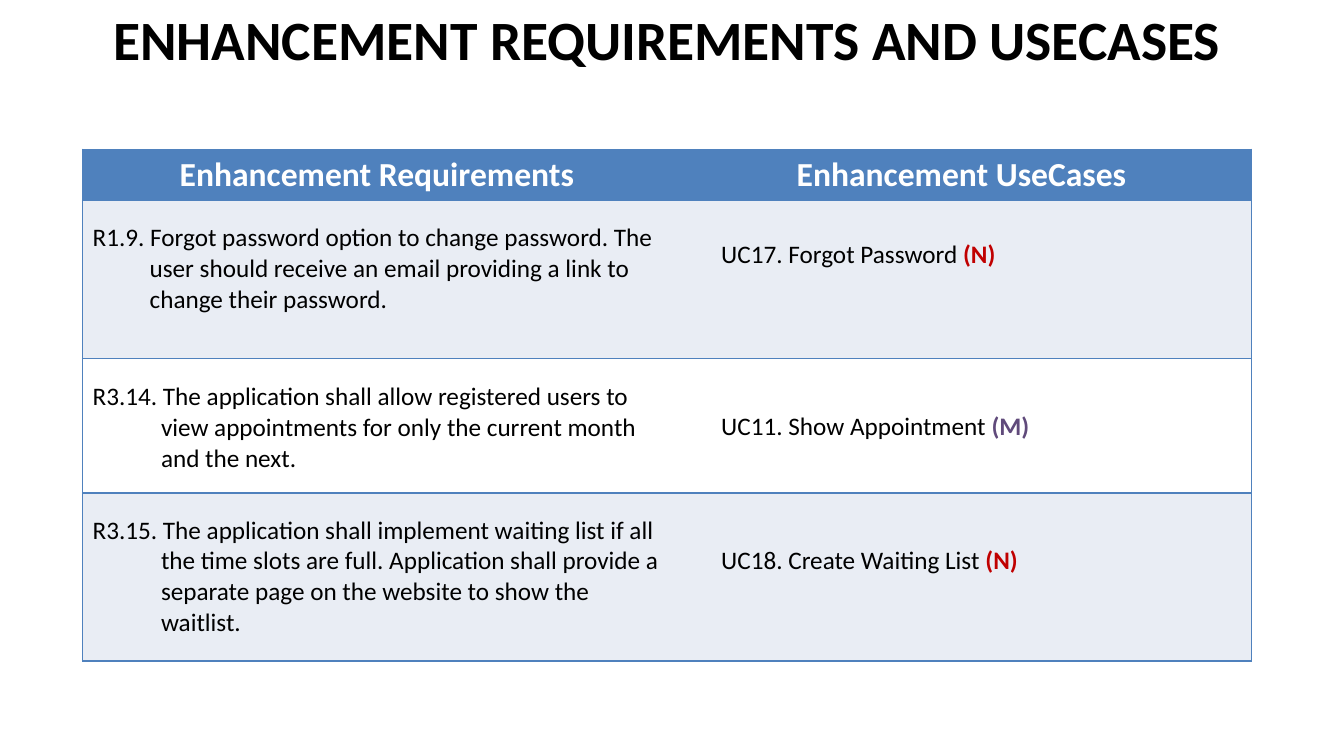
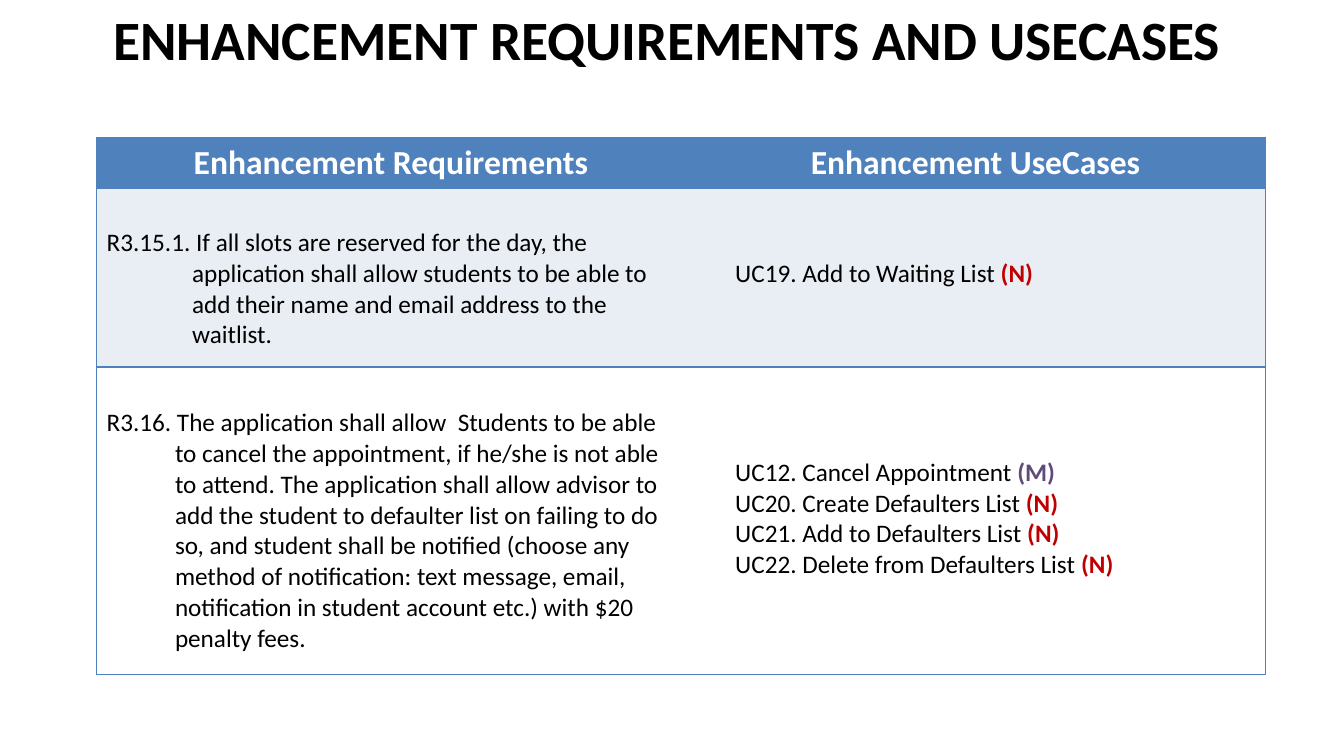
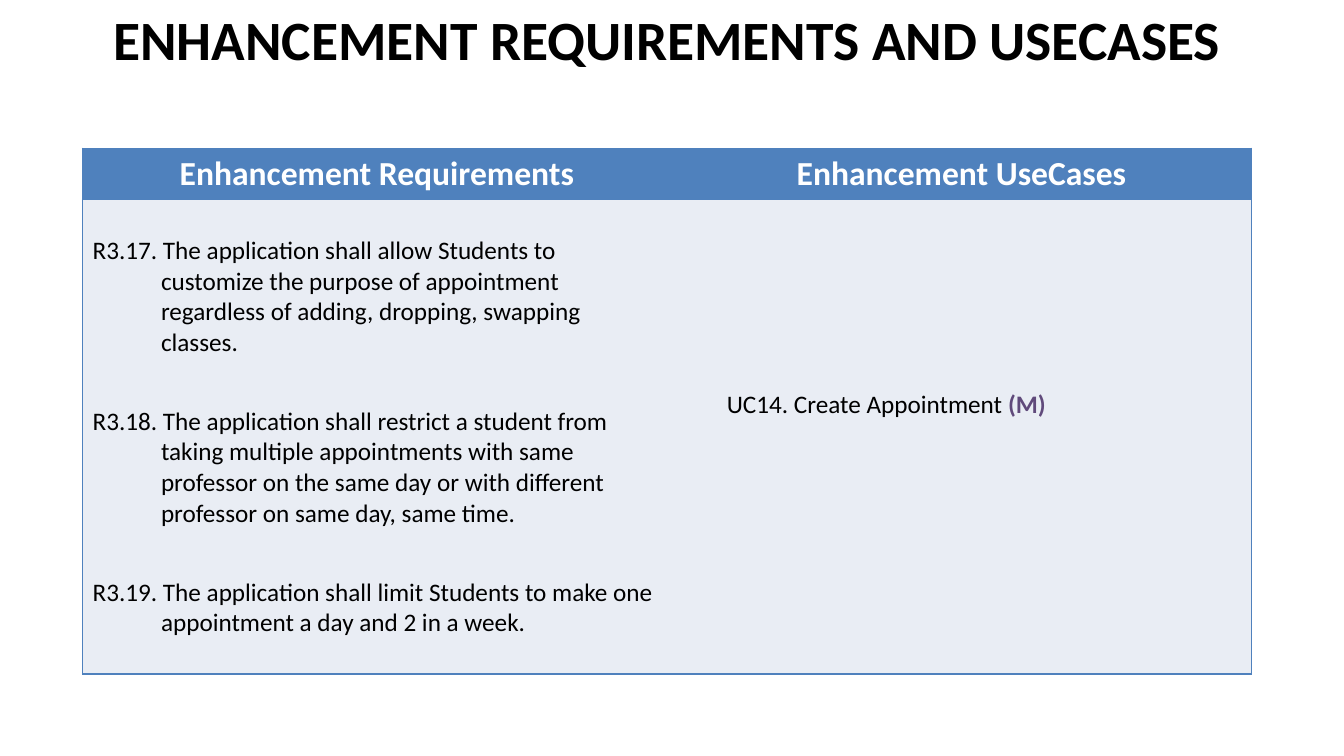
from dataclasses import dataclass

from lxml import etree
from pptx import Presentation
from pptx.dml.color import RGBColor
from pptx.enum.text import MSO_ANCHOR, PP_ALIGN
from pptx.oxml.ns import qn
from pptx.util import Pt

CENTER, LEFT = PP_ALIGN.CENTER, PP_ALIGN.LEFT
MIDDLE = MSO_ANCHOR.MIDDLE

BLUE, BAND, WHITE, BLACK = "4F81BD", "E9EDF4", "FFFFFF", "000000"
MARK_COLORS = {"N": "C00000", "M": "604A7B"}

TITLE = "ENHANCEMENT REQUIREMENTS AND USECASES"
HEADINGS = ("Enhancement Requirements", "Enhancement UseCases")
TITLE_FONT = {"name": "Calibri", "size": Pt(39.6), "bold": True}
HEADING_FONT = {"name": "Calibri", "size": Pt(24), "bold": True}
BODY_FONT = {"name": "Calibri", "size": Pt(18), "bold": False}
MARK_FONT = BODY_FONT | {"bold": True}

LEFT_EDGE = 59
COLUMN_WIDTHS = (420.5, 414.7)
TABLE_WIDTH = sum(COLUMN_WIDTHS)
HEADER_HEIGHT = 36.7
CELL_INSET = 7.2
REQUIREMENT_GAP = 34.2


@dataclass
class Entry:
    """A table row; the tops are the distances from row edge to first line."""
    height: float
    requirements: list
    requirement_top: float
    use_cases: list
    use_case_top: float
    hang: float = 48.8
    use_case_indent: float = 28.5


SLIDES = [
    (LEFT_EDGE, 106.5, [
        Entry(113,
              ["R1.9. Forgot password option to change password. The user should "
               "receive an email providing a link to change their password."], 15.8,
              [("UC17. Forgot Password", "N")], 28, hang=40.7),
        Entry(96,
              ["R3.14. The application shall allow registered users to view "
               "appointments for only the current month and the next."], 16.4,
              [("UC11. Show Appointment", "M")], 37.8),
        Entry(120,
              ["R3.15. The application shall implement waiting list if all the time "
               "slots are full. Application shall provide a separate page on the "
               "website to show the waitlist."], 15.8,
              [("UC18. Create Waiting List", "N")], 37.8),
    ]),
    (69, 98, [
        Entry(127.5,
              ["R3.15.1. If all slots are reserved for the day, the application shall "
               "allow students to be able to add their name and email address to the "
               "waitlist."], 28,
              [("UC19. Add to Waiting List", "N")], 50, hang=61),
        Entry(219.5,
              ["R3.16. The application shall allow  Students to be able to cancel the "
               "appointment, if he/she is not able to attend. The application shall "
               "allow advisor to add the student to defaulter list on failing to do "
               "so, and student shall be notified (choose any method of notification: "
               "text message, email, notification in student account etc.) with $20 "
               "penalty fees."], 29.2,
              [("UC12. Cancel Appointment", "M"),
               ("UC20. Create Defaulters List", "N"),
               ("UC21. Add to Defaulters List", "N"),
               ("UC22. Delete from Defaulters List", "N")], 64.6),
    ]),
    (LEFT_EDGE, 105.8, [
        Entry(339,
              ["R3.17. The application shall allow Students to customize the purpose "
               "of appointment regardless of adding, dropping, swapping\vclasses.",
               "R3.18. The application shall restrict a student from taking multiple "
               "appointments with same professor on the same day or with different "
               "professor on same day, same time.",
               "R3.19. The application shall limit Students to make one appointment "
               "a day and 2 in a week."], 25.6,
              [("UC14. Create Appointment", "M")], 135.5, use_case_indent=32.5),
    ]),
]


def rgb(value):
    return RGBColor.from_string(value)


def style(font, values, color):
    for name, value in values.items():
        setattr(font, name, value)
    font.color.rgb = rgb(color)


def write(paragraph, text, values, color, align=LEFT):
    paragraph.text = text
    paragraph.alignment = align
    for run in paragraph.runs:
        style(run.font, values, color)


def paragraphs(frame, count):
    """Return count paragraphs of a new text frame."""
    return [frame.paragraphs[0]] + [frame.add_paragraph() for _ in range(count - 1)]


def add_title(slide):
    box = slide.shapes.add_textbox(Pt(LEFT_EDGE), Pt(0), Pt(TABLE_WIDTH), Pt(55.5))
    frame = box.text_frame
    frame.word_wrap = True
    frame.vertical_anchor = MIDDLE
    write(frame.paragraphs[0], TITLE, TITLE_FONT, BLACK, CENTER)


def paint_cell(cell, fill, outer_side):
    """Fill the cell and rule every side except the one between the columns."""
    properties = cell._tc.get_or_add_tcPr()
    for side in ("L", "R", "T", "B"):
        line = etree.SubElement(properties, qn(f"a:ln{side}"), w=str(Pt(1)))
        if side in ("T", "B", outer_side):
            solid = etree.SubElement(line, qn("a:solidFill"))
            etree.SubElement(solid, qn("a:srgbClr"), val=BLUE)
        else:
            etree.SubElement(line, qn("a:noFill"))
    cell.fill.solid()
    cell.fill.fore_color.rgb = rgb(fill)


def write_requirements(cell, entry):
    cell.margin_top = Pt(entry.requirement_top)
    lines = paragraphs(cell.text_frame, len(entry.requirements))
    for number, (paragraph, text) in enumerate(zip(lines, entry.requirements)):
        write(paragraph, text, BODY_FONT, BLACK)
        hanging = paragraph._p.get_or_add_pPr()
        hanging.set("marL", str(Pt(entry.hang)))
        hanging.set("indent", str(-Pt(entry.hang)))
        if number:
            paragraph.space_before = Pt(REQUIREMENT_GAP)


def write_use_cases(cell, entry):
    cell.margin_top = Pt(entry.use_case_top)
    cell.margin_left = Pt(CELL_INSET + entry.use_case_indent)
    lines = paragraphs(cell.text_frame, len(entry.use_cases))
    for paragraph, (name, mark) in zip(lines, entry.use_cases):
        write(paragraph, name + " ", BODY_FONT, BLACK)
        mark_run = paragraph.add_run()
        mark_run.text = f"({mark})"
        style(mark_run.font, MARK_FONT, MARK_COLORS[mark])


def add_requirements_table(slide, left, top, entries):
    heights = [HEADER_HEIGHT] + [entry.height for entry in entries]
    table = slide.shapes.add_table(len(heights), len(COLUMN_WIDTHS), Pt(left), Pt(top),
                                   Pt(TABLE_WIDTH), Pt(sum(heights))).table
    table.horz_banding = False
    for column, width in zip(table.columns, COLUMN_WIDTHS):
        column.width = Pt(width)
    for number, (row, height) in enumerate(zip(table.rows, heights)):
        row.height = Pt(height)
        fill = BLUE if number == 0 else BAND if number % 2 else WHITE
        for cell, outer_side in zip(row.cells, "LR"):
            paint_cell(cell, fill, outer_side)
    for column, heading in enumerate(HEADINGS):
        write(table.cell(0, column).text_frame.paragraphs[0], heading,
              HEADING_FONT, WHITE, CENTER)
    for number, entry in enumerate(entries, start=1):
        write_requirements(table.cell(number, 0), entry)
        write_use_cases(table.cell(number, 1), entry)


def main():
    deck = Presentation()
    deck.slide_width, deck.slide_height = Pt(960), Pt(540)
    blank = deck.slide_layouts[6]
    for left, top, entries in SLIDES:
        slide = deck.slides.add_slide(blank)
        add_title(slide)
        add_requirements_table(slide, left, top, entries)
    deck.save("out.pptx")


if __name__ == "__main__":
    main()
